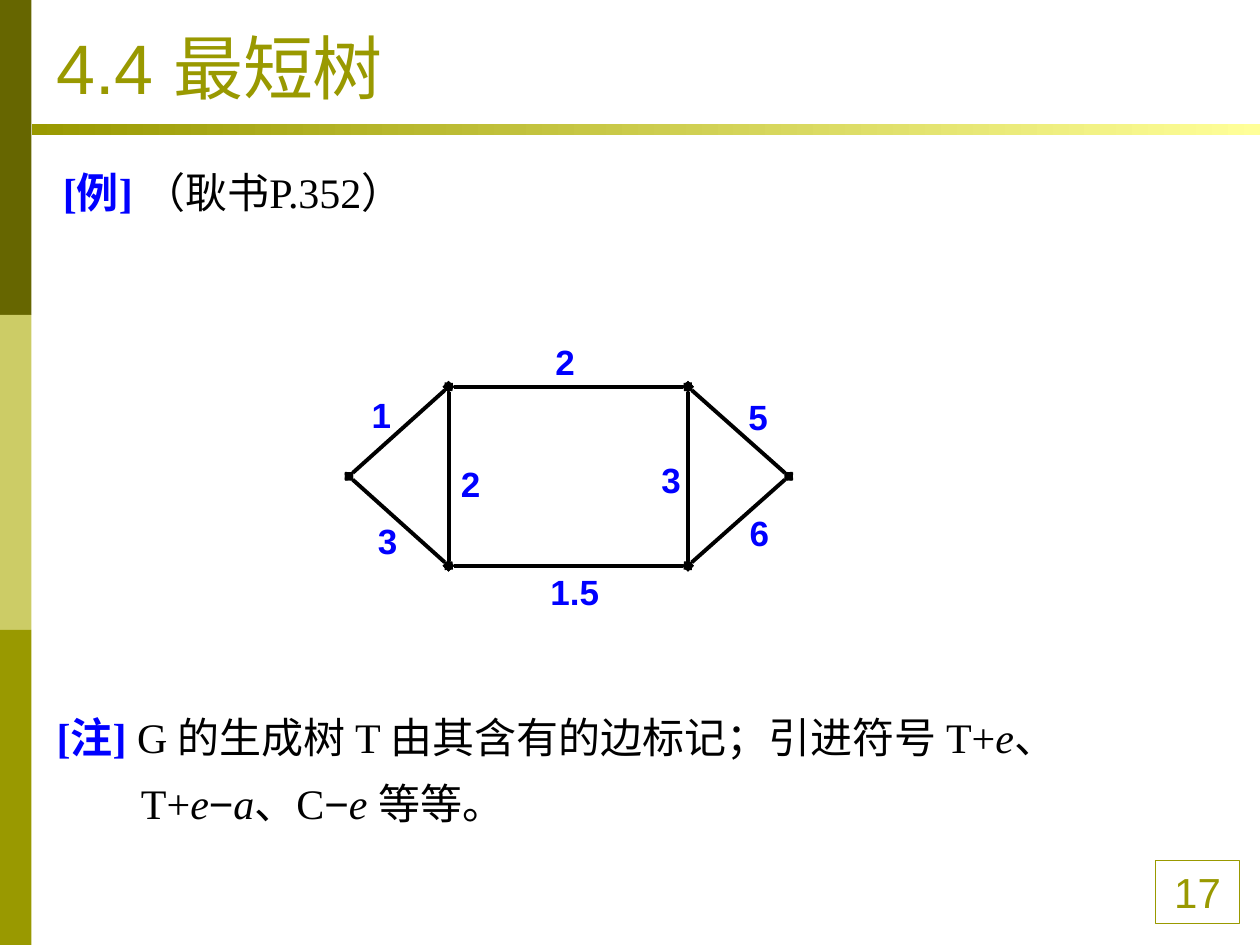
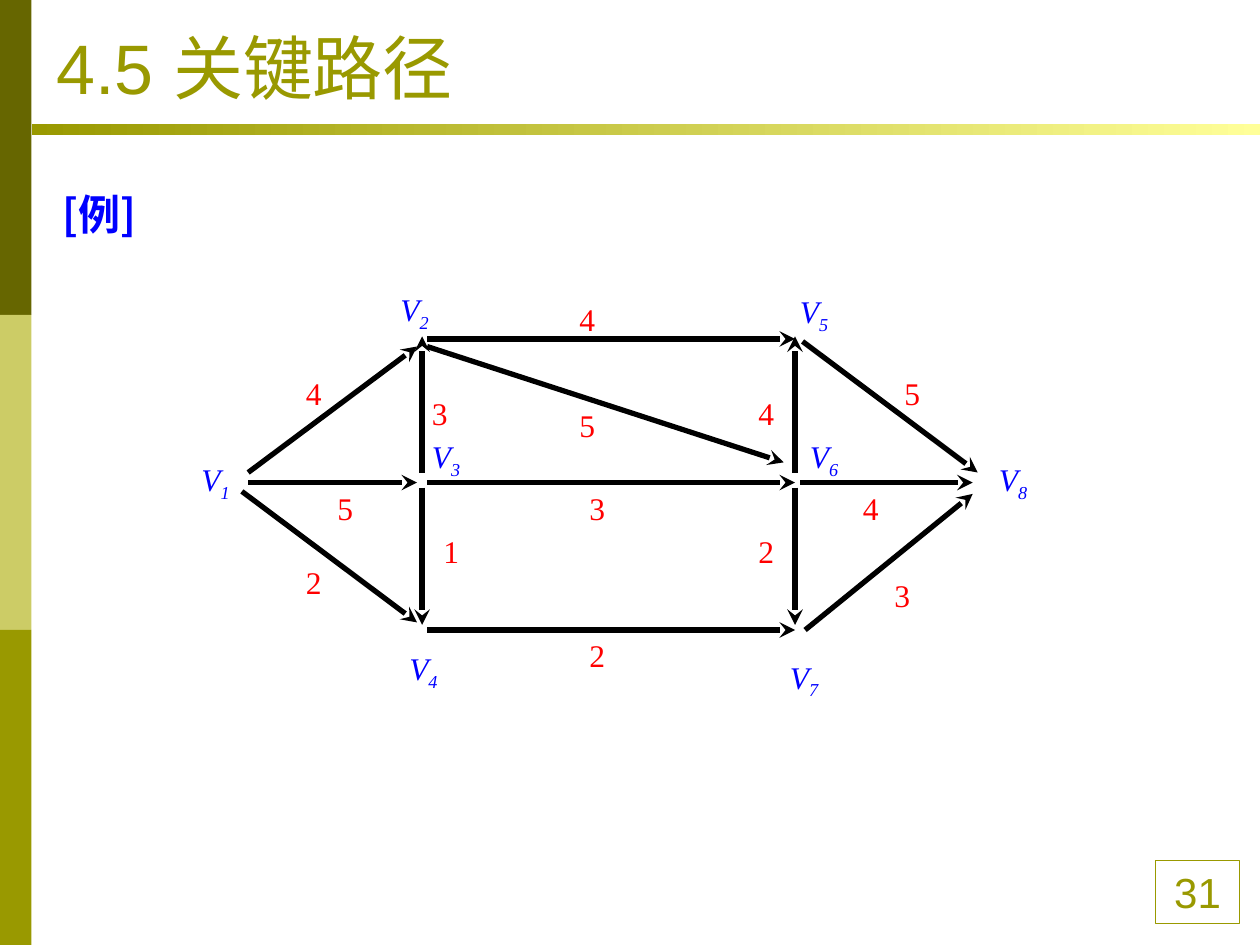
"""Build two lecture slides about shortest trees and critical paths."""

from lxml.etree import SubElement
from pptx import Presentation
from pptx.dml.color import RGBColor
from pptx.enum.shapes import MSO_CONNECTOR, MSO_SHAPE
from pptx.enum.text import MSO_ANCHOR, PP_ALIGN
from pptx.oxml.ns import qn
from pptx.util import Emu, Inches, Pt

DARK_OLIVE = RGBColor(0x66, 0x66, 0x00)
PALE_OLIVE = RGBColor(0xCC, 0xCC, 0x66)
OLIVE = RGBColor(0x99, 0x99, 0x00)
YELLOW = RGBColor(0xFF, 0xFF, 0x99)
BLUE = RGBColor(0x00, 0x00, 0xFF)
RED = RGBColor(0xFF, 0x00, 0x00)
BLACK = RGBColor(0x00, 0x00, 0x00)
SANS, SERIF, CHINESE = "Arial", "Times New Roman", "Noto Sans CJK SC"

deck = Presentation()
deck.slide_width, deck.slide_height = Inches(10), Inches(7.5)
COLUMN = deck.slide_width / 100
ROW = deck.slide_height / 75


def grid(*cells):
    """Turn alternating column and row counts into lengths."""
    return [Emu(round(cell * (ROW if place % 2 else COLUMN))) for place, cell in enumerate(cells)]


def write(box, size, spans):
    """Fill a box with spans of text, font, colour and style letters."""
    frame = box.text_frame
    frame.word_wrap = True
    paragraph = frame.paragraphs[0]
    for text, font, colour, style in spans:
        span = paragraph.add_run()
        span.text = text
        span.font.size = Pt(size)
        span.font.name = font
        span.font.color.rgb = colour
        span.font.bold = "b" in style
        span.font.italic = "i" in style
        properties = span.font._element
        SubElement(properties, qn("a:ea"), typeface=CHINESE)
        if "s" in style:
            properties.set("baseline", "-25000")
    return paragraph


pages = []
for title, number in [("4.4 最短树", "17"), ("4.5 关键路径", "31")]:
    page = deck.slides.add_slide(deck.slide_layouts[6])
    pages.append(page)

    for index, colour in enumerate([DARK_OLIVE, PALE_OLIVE, OLIVE]):
        band = page.shapes.add_shape(MSO_SHAPE.RECTANGLE, *grid(0, index * 25, 2.5, 25))
        band.shadow.inherit = False
        band.fill.solid()
        band.fill.fore_color.rgb = colour
        band.line.fill.background()

    rule = page.shapes.add_shape(MSO_SHAPE.RECTANGLE, *grid(2.5, 9.85, 97.5, 0.9))
    rule.shadow.inherit = False
    rule.line.fill.background()
    rule.fill.gradient()
    rule.fill.gradient_angle = 0
    for stop, colour in zip(rule.fill.gradient_stops, [OLIVE, YELLOW]):
        stop.color.rgb = colour

    number_box = page.shapes.add_shape(MSO_SHAPE.RECTANGLE, *grid(91.7, 68.3, 6.7, 5))
    number_box.shadow.inherit = False
    number_box.fill.background()
    number_box.line.color.rgb = OLIVE
    number_box.line.width = Pt(0.75)
    write(number_box, 24, [(number, SANS, OLIVE, "")]).alignment = PP_ALIGN.CENTER

    title_box = page.shapes.add_textbox(*grid(3.5, 2.1, 90, 7))
    title_box.text_frame.vertical_anchor = MSO_ANCHOR.BOTTOM
    write(title_box, 40, [(title, SANS, OLIVE, "")])

tree_page, path_page = pages

tree_example = [("[例] ", SERIF, BLUE, "b"), ("（耿书P.352）", SERIF, BLACK, "")]
tree_note = [
    ("[注] ", SERIF, BLUE, "b"),
    ("G 的生成树 T 由其含有的边标记；引进符号 T+", SERIF, BLACK, ""),
    ("e", SERIF, BLACK, "i"),
    ("、 T+", SERIF, BLACK, ""),
    ("e", SERIF, BLACK, "i"),
    ("−", SANS, BLACK, ""),
    ("a", SERIF, BLACK, "i"),
    ("、C", SERIF, BLACK, ""),
    ("−", SANS, BLACK, ""),
    ("e ", SERIF, BLACK, "i"),
    ("等等。", SERIF, BLACK, ""),
]
path_example = [("[例]", CHINESE, BLUE, "b")]
for page, area, spans in [
    (tree_page, (4, 11.5, 94.2, 7.1), tree_example),
    (tree_page, (3.5, 54.8, 94.2, 11.4), tree_note),
    (path_page, (4, 13.3, 94.2, 7.5), path_example),
]:
    paragraph = write(page.shapes.add_textbox(*grid(*area)), 24, spans)
    paragraph.line_spacing = 1.3
    hanging = paragraph._p.get_or_add_pPr()
    hanging.set("marL", str(Inches(0.67)))
    hanging.set("indent", str(-Inches(0.67)))

west, east = (27.7, 37.8), (62.6, 37.8)
top_left, top_right = (35.6, 30.7), (54.6, 30.7)
low_left, low_right = (35.6, 44.9), (54.6, 44.9)
tree_edges = [
    (top_left, top_right), (low_left, low_right),
    (top_left, low_left), (top_right, low_right),
    (top_left, west), (west, low_left),
    (east, low_right), (top_right, east),
]
path_edges = [
    ((33.9, 38.3), (63.1, 38.3)), ((63.5, 38.3), (77.2, 38.3)),
    ((19.7, 38.3), (33.1, 38.3)), ((63.1, 37.5), (63.1, 26.7)),
    ((63.1, 38.7), (63.1, 49.6)), ((33.5, 37.5), (33.5, 26.7)),
    ((33.5, 38.7), (33.5, 49.6)), ((33.9, 50), (63.1, 50)),
    ((33.9, 26.9), (63.1, 26.9)), ((33.9, 27.5), (62.2, 36.7)),
    ((63.7, 27.1), (77.6, 37.5)), ((19.2, 39), (33.1, 49.4)),
    ((19.7, 37.5), (33.1, 27.5)), ((63.9, 50), (77.2, 39.2)),
]
for page, edges, weight, ends in [
    (tree_page, tree_edges, 2.25, {"headEnd": "diamond", "tailEnd": "diamond"}),
    (path_page, path_edges, 3, {"tailEnd": "stealth"}),
]:
    for start, finish in edges:
        edge = page.shapes.add_connector(MSO_CONNECTOR.STRAIGHT, *grid(*start, *finish))
        edge.line.color.rgb = BLACK
        edge.line.width = Pt(weight)
        for end, kind in ends.items():
            SubElement(edge.line._get_or_add_ln(), qn(f"a:{end}"), type=kind)
        SubElement(edge._element.spPr, qn("a:effectLst"))

tree_weights = [
    ("1", 28.5, 30.7), ("2", 35.6, 36.2), ("3", 29, 40.7), ("3", 51.5, 35.9),
    ("2", 43.1, 26.5), ("5", 58.4, 30.9), ("6", 58.5, 40.1), ("1.5", 42.7, 44.8),
]
for weight, column, row in tree_weights:
    width = 3.5 if len(weight) == 1 else 8.7
    box = tree_page.shapes.add_textbox(*grid(column, row, width, 4.4))
    write(box, 20, [(weight, SANS, BLUE, "b")])

path_weights = [
    ("1", 34.2, 41.7), ("2", 23.3, 44.2), ("2", 45.8, 50), ("2", 59.2, 41.7),
    ("3", 70, 45.2), ("3", 45.8, 38.3), ("3", 33.3, 30.8), ("4", 23.3, 29.2),
    ("4", 45, 23.3), ("4", 59.2, 30.8), ("5", 45, 31.7), ("5", 70.8, 29.2),
    ("5", 25.8, 38.3), ("4", 67.5, 38.3),
]
for weight, column, row in path_weights:
    box = path_page.shapes.add_textbox(*grid(column, row, 4.2, 4))
    write(box, 18, [(weight, SERIF, RED, "")])

vertices = [
    (15, 36), (30.8, 22.5), (33.3, 34.2), (31.5, 51),
    (62.5, 22.7), (63.3, 34.2), (61.7, 51.7), (78.3, 36),
]
for index, (column, row) in enumerate(vertices, start=1):
    box = path_page.shapes.add_textbox(*grid(column, row, 5, 4.4))
    write(box, 18, [("V", SERIF, BLUE, "i"), (str(index), SERIF, BLUE, "is")])

deck.save("out.pptx")
